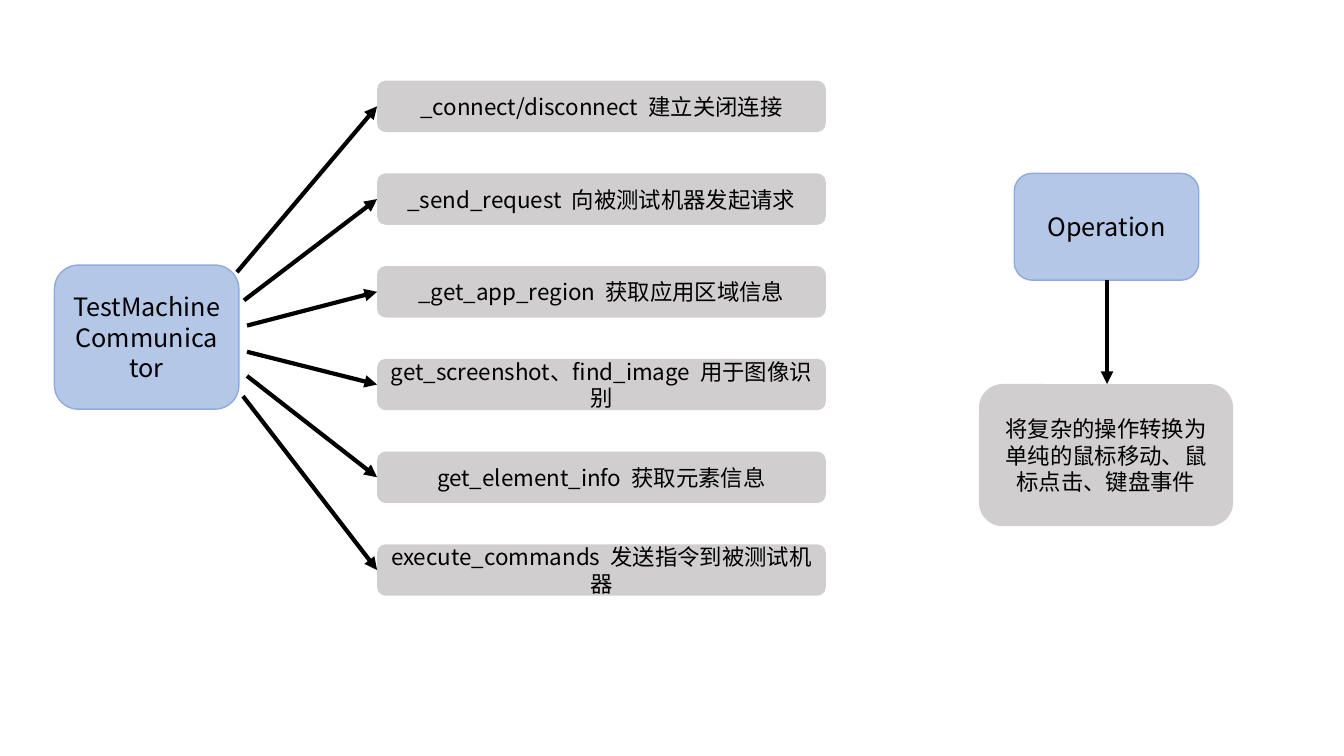
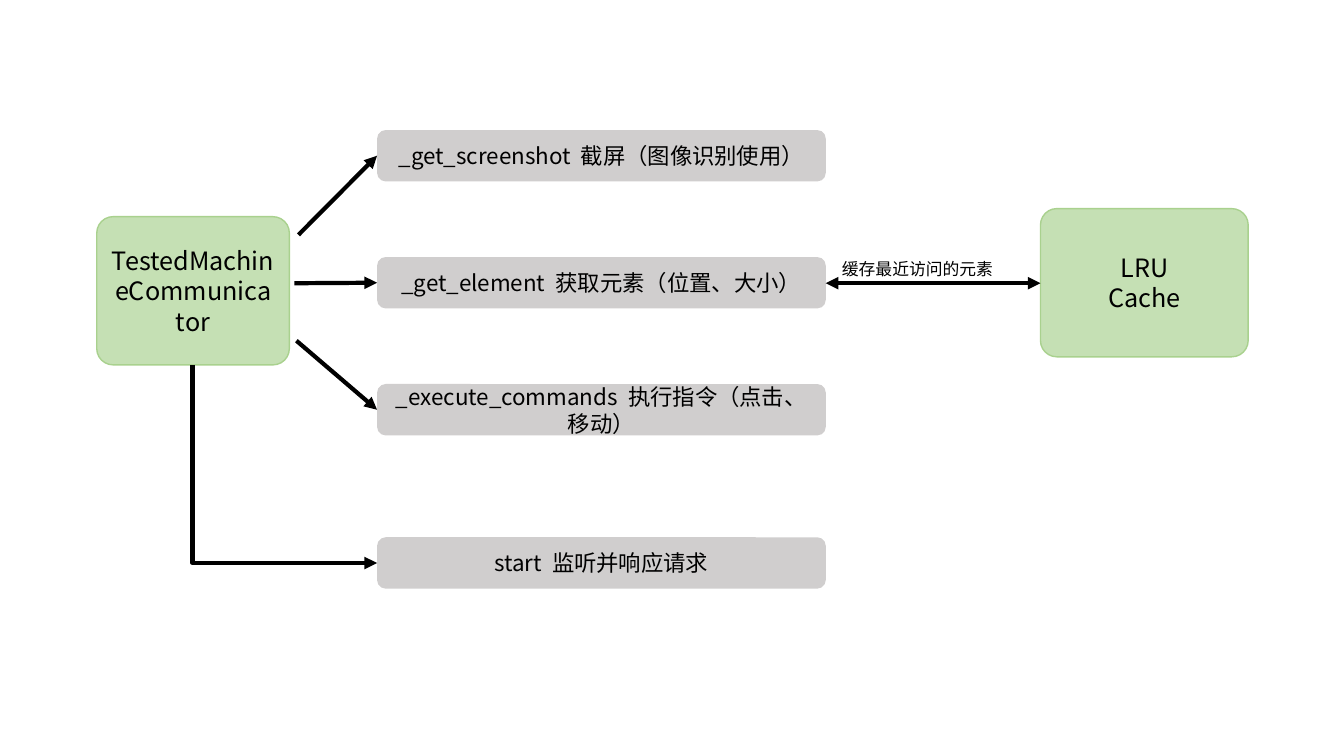
from lxml.etree import SubElement
from pptx import Presentation
from pptx.dml.color import RGBColor
from pptx.enum.shapes import MSO_CONNECTOR, MSO_SHAPE
from pptx.enum.text import MSO_ANCHOR, PP_ALIGN
from pptx.oxml.ns import qn
from pptx.util import Inches, Pt

FONT = "Noto Sans CJK SC"
BLACK, GREY = "000000", "D0CECE"
BLUE = ("B4C7E7", "8FAADC")
GREEN = ("C5E0B4", "A9D18E")
BAR_X, BAR_W, BAR_H = 3.74, 4.45, 0.51

CLIENT = [
    ("_connect/disconnect  建立关闭连接", (2.35, 2.7)),
    ("_send_request  向被测试机器发起请求", (2.42, 2.98)),
    ("_get_app_region  获取应用区域信息", (2.45, 3.23)),
    ("get_screenshot、find_image  用于图像识别", (2.45, 3.49)),
    ("get_element_info  获取元素信息", (2.45, 3.73)),
    ("execute_commands  发送指令到被测试机器", (2.41, 3.93)),
]
SERVER = [
    ("_get_screenshot  截屏（图像识别使用）", (2.96, 2.33)),
    ("_get_element  获取元素（位置、大小）", (2.92, 2.81)),
    ("_execute_commands  执行指令（点击、移动）", (2.94, 3.38)),
]
START = "start  监听并响应请求"


def color(code):
    return RGBColor.from_string(code)


def write(shape, text, size, font=FONT):
    frame = shape.text_frame
    frame.text = text
    frame.word_wrap = True
    for para in frame.paragraphs:
        para.alignment = PP_ALIGN.CENTER
        for run in para.runs:
            run.font.size = Pt(size)
            run.font.name = font
            run.font.color.rgb = color(BLACK)
            SubElement(run.font._element, qn("a:ea")).set("typeface", FONT)


def box(slide, area, text, fill, edge=None, size=16, round=None):
    shape = slide.shapes.add_shape(
        MSO_SHAPE.ROUNDED_RECTANGLE, *map(Inches, area))
    shape.shadow.inherit = False
    if round:
        shape.adjustments[0] = round
    shape.fill.solid()
    shape.fill.fore_color.rgb = color(fill)
    if edge:
        shape.line.color.rgb = color(edge)
        shape.line.width = Pt(1)
    else:
        shape.line.fill.background()
    write(shape, text, size)
    shape.text_frame.vertical_anchor = MSO_ANCHOR.MIDDLE


def arrow(slide, start, end, ends=("tailEnd",), kind=MSO_CONNECTOR.STRAIGHT):
    link = slide.shapes.add_connector(kind, *map(Inches, (*start, *end)))
    link.line.color.rgb = color(BLACK)
    link.line.width = Pt(3)
    for end_tag in ends:
        SubElement(link.line._get_or_add_ln(),
                   qn(f"a:{end_tag}")).set("type", "triangle")
    SubElement(link._element.spPr, qn("a:effectLst"))
    return link


def corner(slide, start, end):
    mid_x, mid_y = (start[0] + end[0]) / 2, (start[1] + end[1]) / 2
    half_w, half_h = (end[1] - start[1]) / 2, (end[0] - start[0]) / 2
    link = arrow(slide, (mid_x - half_w, mid_y + half_h),
                 (mid_x + half_w, mid_y - half_h), kind=MSO_CONNECTOR.ELBOW)
    props = link._element.spPr
    props.find(qn("a:xfrm")).set("rot", "5400000")
    props.find(qn("a:prstGeom")).set("prst", "bentConnector2")


def bar(slide, top, text):
    box(slide, (BAR_X, top, BAR_W, BAR_H), text, GREY)
    return BAR_X, top + BAR_H / 2


def fan(slide, items, top, step):
    for i, (text, start) in enumerate(items):
        arrow(slide, start, bar(slide, top + i * step, text))


def client(slide):
    box(slide, (0.54, 2.63, 1.83, 1.43), "TestMachine\nCommunicator",
        *BLUE, size=18)
    fan(slide, CLIENT, 0.8, 0.92)
    box(slide, (10.06, 1.72, 1.83, 1.06), "Operation", *BLUE, size=18)
    box(slide, (9.71, 3.81, 2.52, 1.41),
        "将复杂的操作转换为单纯的鼠标移动、鼠标点击、键盘事件", GREY)
    arrow(slide, (10.98, 2.78), (10.98, 3.81))


def server(slide):
    box(slide, (0.96, 2.15, 1.91, 1.47), "TestedMachineCommunicator",
        *GREEN, size=18, round=0.11)
    fan(slide, SERVER, 1.29, 1.26)
    corner(slide, (1.91, 3.62), bar(slide, 5.33, START))
    box(slide, (10.32, 2.07, 2.06, 1.47), "LRU\nCache",
        *GREEN, size=18, round=0.11)
    arrow(slide, (BAR_X + BAR_W, 2.81), (10.32, 2.81), ("headEnd", "tailEnd"))
    label = slide.shapes.add_textbox(*map(Inches, (8.19, 2.52, 1.82, 0.3)))
    write(label, "缓存最近访问的元素", 12, "Arial")


def main():
    deck = Presentation()
    deck.slide_width, deck.slide_height = Inches(13.33), Inches(7.5)
    for draw in (client, server):
        draw(deck.slides.add_slide(deck.slide_layouts[6]))
    deck.save("out.pptx")


if __name__ == "__main__":
    main()
